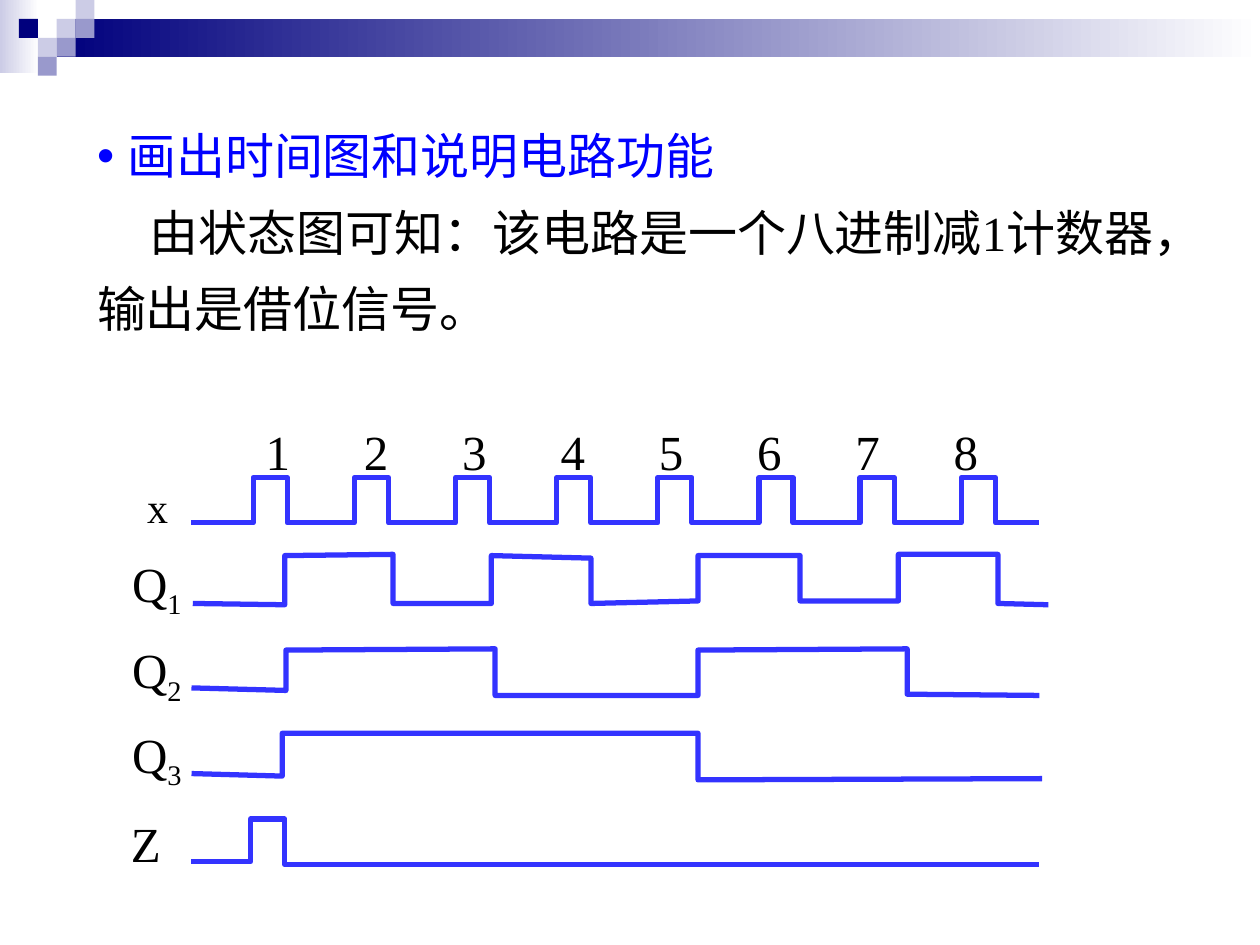
import dataclasses

import pptx
import pptx.dml.color
import pptx.enum.shapes
import pptx.enum.text
import pptx.oxml.ns
import pptx.util
from lxml import etree
from pptx.util import Inches


@dataclasses.dataclass(frozen=True)
class Theme:
    """Colours, font and type sizes of the slide."""
    navy: str = "00007D"
    violet: str = "9999CC"
    lavender: str = "CCCCE6"
    white: str = "FFFFFF"
    heading: str = "0000FF"
    ink: str = "000000"
    signal: str = "3333FF"
    font: str = "Times New Roman"
    text_size: int = 28
    clock_size: int = 24
    signal_width: int = 3


THEME = Theme()


def rgb(value):
    """Return the colour for a hex string."""
    return pptx.dml.color.RGBColor.from_string(value)


def apply(target, **values):
    """Set each given value as an attribute of the target."""
    for name, value in values.items():
        setattr(target, name, value)


def style_font(font, size, color):
    """Give a font the theme typeface, a size and a colour."""
    apply(font, name=THEME.font, size=pptx.util.Pt(size))
    font.color.rgb = rgb(color)


def add_block(slide, left, top, width, height, *colors):
    """Add a rectangle with a solid fill or a right-to-left gradient."""
    block = slide.shapes.add_shape(
        pptx.enum.shapes.MSO_SHAPE.RECTANGLE,
        *map(Inches, (left, top, width, height)))
    block.shadow.inherit = False
    block.line.fill.background()
    if len(colors) == 1:
        block.fill.solid()
        block.fill.fore_color.rgb = rgb(colors[0])
        return
    block.fill.gradient()
    block.fill.gradient_angle = 180
    for stop, color in zip(block.fill.gradient_stops, colors):
        stop.color.rgb = rgb(color)


def add_banner(slide, left, top, width):
    """Draw the fading band and its mosaic of squares."""
    cell = 0.15
    add_block(slide, left, top, 0.31, 0.58, THEME.white, THEME.lavender)
    add_block(slide, left + 3 * cell, top + cell, width - 3 * cell, 2 * cell,
              THEME.white, THEME.navy)
    mosaic = [(3, 1, THEME.lavender), (4, 0, THEME.lavender),
              (4, 1, THEME.violet), (2, 2, THEME.lavender),
              (1, 1, THEME.navy), (3, 2, THEME.violet), (2, 3, THEME.violet)]
    for column, row, color in mosaic:
        add_block(slide, left + column * cell, top + row * cell,
                  cell, cell, color)


def add_explanation(slide, left, top, width, height):
    """Fill the body placeholder with the heading and the explanation."""
    body = slide.placeholders[1]
    apply(body, left=Inches(left), top=Inches(top),
          width=Inches(width), height=Inches(height))
    frame = body.text_frame
    apply(frame, word_wrap=True, auto_size=pptx.enum.text.MSO_AUTO_SIZE.NONE,
          vertical_anchor=pptx.enum.text.MSO_ANCHOR.TOP)
    frame.text = ("画出时间图和说明电路功能\n"
                  "由状态图可知：该电路是一个八进制减1计数器，输出是借位信号。")
    formats = [(0.24, -0.24, "•", THEME.heading), (0, 0.42, None, THEME.ink)]
    for paragraph, (margin, indent, bullet, color) in zip(
            frame.paragraphs, formats):
        apply(paragraph, line_spacing=1.3, space_before=pptx.util.Pt(0))
        properties = paragraph._p.get_or_add_pPr()
        properties.set("marL", str(Inches(margin)))
        properties.set("indent", str(Inches(indent)))
        tag = "a:buChar" if bullet else "a:buNone"
        mark = etree.SubElement(properties, pptx.oxml.ns.qn(tag))
        if bullet:
            mark.set("char", bullet)
        for run in paragraph.runs:
            style_font(run.font, THEME.text_size, color)


def add_label(slide, left, top, width, height, text, subscript="",
              size=THEME.text_size, line_spacing=1.0):
    """Add a signal name or a pulse number."""
    label = slide.shapes.add_textbox(
        *map(Inches, (left, top, width, height)))
    label.text_frame.word_wrap = False
    paragraph = label.text_frame.paragraphs[0]
    paragraph.line_spacing = line_spacing
    for part in filter(None, (text, subscript)):
        run = paragraph.add_run()
        run.text = part
        style_font(run.font, size, THEME.ink)
    if subscript:
        run._r.get_or_add_rPr().set("baseline", "-25000")


def add_wave(slide, left, top, points):
    """Draw one signal as an open line through points relative to a corner."""
    start, *rest = [(Inches(left + x), Inches(top + y)) for x, y in points]
    builder = slide.shapes.build_freeform(*start)
    builder.add_line_segments(rest, close=False)
    wave = builder.convert_to_shape()
    wave.shadow.inherit = False
    wave.fill.background()
    wave.line.color.rgb = rgb(THEME.signal)
    wave.line.width = pptx.util.Pt(THEME.signal_width)


def clock_points(pulses, first, last, width, low, end):
    """Return the points of evenly spaced clock pulses."""
    points = [(0, low)]
    for pulse in range(pulses):
        rise = first + pulse * (last - first) / (pulses - 1)
        fall = rise + width
        points += [(rise, low), (rise, 0), (fall, 0), (fall, low)]
    return points + [(end, low)]


def add_timing_diagram(slide, left, top):
    """Draw the clock, the three state signals and the output."""
    wave_left = left + 0.58
    pulses = 8
    for pulse in range(pulses):
        add_label(slide, left + 1.07 + 0.78 * pulse, top, 0.39, 0.57,
                  str(pulse + 1))
    add_label(slide, left + 0.13, top + 0.52, 0.36, 0.46, "x",
              size=THEME.clock_size, line_spacing=0.9)
    add_wave(slide, wave_left, top + 0.49,
             clock_points(pulses, 0.49, 6.11, 0.27, 0.36, 6.73))

    states = [
        (1.04, 1.1, [(0.01, 0.39), (0.74, 0.4), (0.74, 0.01), (1.6, 0),
                     (1.6, 0.39), (2.38, 0.39), (2.38, 0.01), (3.17, 0.03),
                     (3.17, 0.39), (4.02, 0.37), (4.02, 0.01), (4.83, 0.01),
                     (4.83, 0.37), (5.61, 0.37), (5.61, 0), (6.4, 0),
                     (6.4, 0.39), (6.8, 0.4)]),
        (1.73, 1.85, [(0, 0.31), (0.75, 0.33), (0.75, 0.01), (2.41, 0),
                      (2.41, 0.37), (4.02, 0.37), (4.02, 0.01), (5.68, 0),
                      (5.68, 0.36), (6.73, 0.37)]),
        (2.4, 2.52, [(0, 0.32), (0.72, 0.34), (0.72, 0), (4.02, 0),
                     (4.02, 0.37), (6.75, 0.36)]),
    ]
    for number, (label_top, wave_top, points) in enumerate(states, start=1):
        add_label(slide, left + 0.01, top + label_top, 0.59, 0.63,
                  "Q", str(number))
        add_wave(slide, wave_left, top + wave_top, points)

    add_label(slide, left, top + 3.11, 0.44, 0.57, "Z")
    add_wave(slide, wave_left, top + 3.2,
             [(0, 0.34), (0.47, 0.34), (0.47, 0), (0.74, 0),
              (0.74, 0.36), (6.73, 0.36)])


def main():
    """Build and save the slide."""
    deck = pptx.Presentation()
    apply(deck, slide_width=Inches(10), slide_height=Inches(7.5))
    slide = deck.slides.add_slide(deck.slide_layouts[1])
    title = slide.shapes.title._element
    title.getparent().remove(title)
    add_banner(slide, 0, 0, 10)
    add_explanation(slide, 0.67, 0.81, 8.78, 1.92)
    add_timing_diagram(slide, 0.94, 3.3)
    deck.save("out.pptx")


if __name__ == "__main__":
    main()
